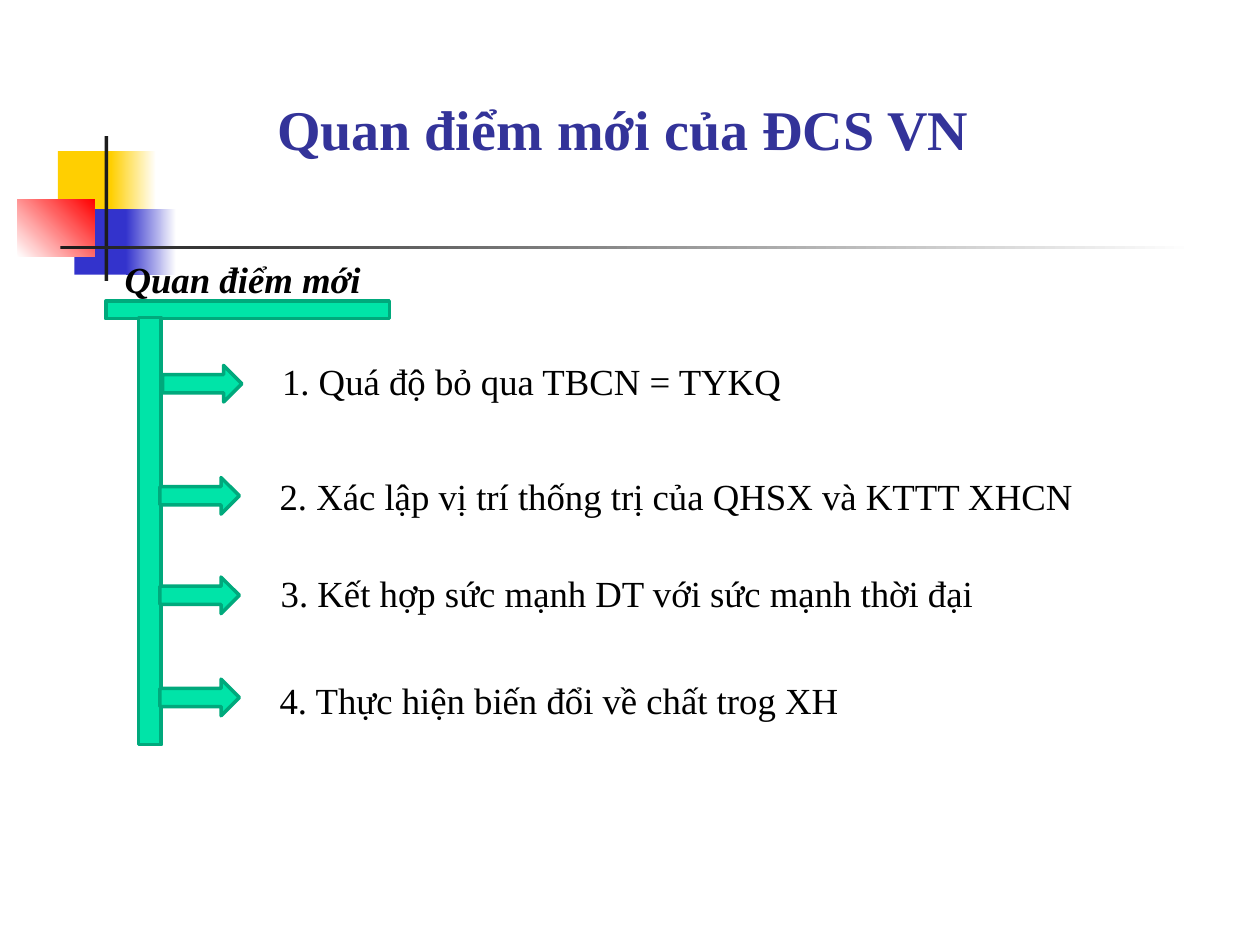
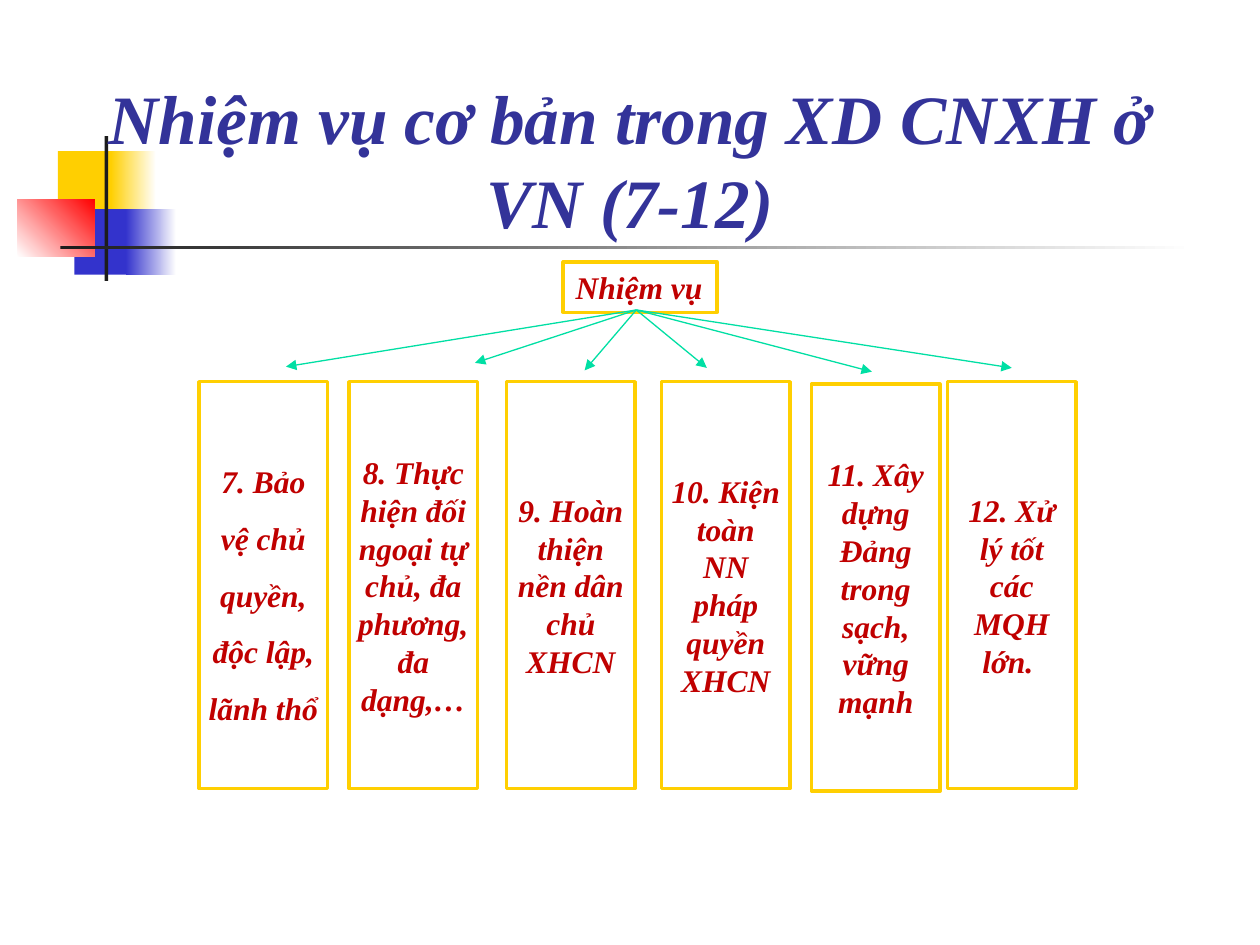
"""Build two slides on the new viewpoints and the basic tasks 7 to 12."""
from dataclasses import dataclass
from typing import Any, NamedTuple, Optional

import lxml.etree
import pptx
import pptx.dml.color
import pptx.enum.shapes
import pptx.enum.text
import pptx.oxml.ns
import pptx.util

EMU_PER_PX = 9144
RECTANGLE = pptx.enum.shapes.MSO_SHAPE.RECTANGLE
RIGHT_ARROW = pptx.enum.shapes.MSO_SHAPE.RIGHT_ARROW
LEFT = pptx.enum.text.PP_ALIGN.LEFT
CENTER = pptx.enum.text.PP_ALIGN.CENTER
TOP = pptx.enum.text.MSO_ANCHOR.TOP
MIDDLE = pptx.enum.text.MSO_ANCHOR.MIDDLE
BOTTOM = pptx.enum.text.MSO_ANCHOR.BOTTOM


@dataclass(frozen=True)
class Theme:
    font: str = "Times New Roman"
    white: str = "FFFFFF"
    black: str = "000000"
    yellow: str = "FFCF01"
    blue: str = "3333CC"
    red: str = "FF0000"
    rule: str = "1C1C1C"
    title: str = "333399"
    green: str = "00E4A8"
    green_edge: str = "00A97C"
    branch: str = "00DFA4"
    task: str = "C00000"
    viewpoint_title_size: float = 32
    task_title_size: float = 39.6
    viewpoint_size: float = 21
    task_size: float = 18
    edge_width: float = 2
    branch_width: float = 0.75


THEME = Theme()


class Box(NamedTuple):
    left: int
    top: int
    width: int
    height: int


class Band(NamedTuple):
    box: Box
    start: str
    end: Optional[str] = None
    angle: int = 0


class Viewpoint(NamedTuple):
    text: str
    text_box: Box
    arrow_left: int
    arrow_top: int


class Task(NamedTuple):
    text: str
    left: int
    branch_end: tuple[int, int]
    top: int = 303
    line_spacing: Optional[float] = None


BANDS = [
    Band(Box(46, 120, 48, 52), THEME.yellow),
    Band(Box(88, 120, 36, 52), THEME.yellow, THEME.white),
    Band(Box(59, 166, 46, 52), THEME.blue),
    Band(Box(100, 166, 40, 52), THEME.blue, THEME.white),
    Band(Box(14, 158, 61, 46), THEME.white, THEME.red, 45),
    Band(Box(83, 108, 3, 115), THEME.rule),
    Band(Box(48, 195, 900, 3), THEME.rule, THEME.white),
]

VIEWPOINTS = [
    Viewpoint("1. Quá độ bỏ qua TBCN = TYKQ", Box(214, 280, 420, 45), 129, 290),
    Viewpoint("2. Xác lập vị trí thống trị của QHSX và KTTT XHCN",
              Box(212, 371, 671, 45), 127, 379),
    Viewpoint("3. Kết hợp sức mạnh DT với sức mạnh thời đại",
              Box(213, 448, 576, 45), 127, 458),
    Viewpoint("4. Thực hiện biến đổi về chất trog XH",
              Box(212, 533, 469, 45), 127, 539),
]

TASKS = [
    Task("7. Bảo vệ chủ quyền, độc lập, lãnh thổ", 158, (227, 291), line_spacing=1.5),
    Task("8. Thực hiện đối ngoại tự chủ, đa phương, đa dạng,…", 277, (377, 288)),
    Task("9. Hoàn thiện nền dân chủ XHCN", 402, (464, 294)),
    Task("10. Kiện toàn NN pháp quyền XHCN", 525, (561, 292)),
    Task("11. Xây dựng Đảng trong sạch, vững mạnh", 644, (692, 295), top=305),
    Task("12. Xử lý tốt các MQH lớn. ", 752, (803, 292)),
]
BRANCH_START = (505, 246)


def px(length: int) -> pptx.util.Emu:
    return pptx.util.Emu(length * EMU_PER_PX)


def rgb(colour: str) -> pptx.dml.color.RGBColor:
    return pptx.dml.color.RGBColor.from_string(colour)


def write(shape: Any, text: str, *, size: float, colour: str = THEME.black,
          bold: bool = False, italic: bool = False, align: Any = LEFT,
          anchor: Any = TOP, wrap: bool = True, line_spacing: Optional[float] = None,
          margins: tuple[int, int] = (10, 5)) -> None:
    frame = shape.text_frame
    frame.word_wrap = wrap
    frame.auto_size = (pptx.enum.text.MSO_AUTO_SIZE.NONE if wrap
                       else pptx.enum.text.MSO_AUTO_SIZE.SHAPE_TO_FIT_TEXT)
    frame.vertical_anchor = anchor
    frame.margin_left = frame.margin_right = px(margins[0])
    frame.margin_top = frame.margin_bottom = px(margins[1])
    paragraph = frame.paragraphs[0]
    paragraph.alignment = align
    if line_spacing:
        paragraph.line_spacing = line_spacing
    run = paragraph.add_run()
    run.text = text
    run.font.name = THEME.font
    run.font.size = pptx.util.Pt(size)
    run.font.bold = bold
    run.font.italic = italic
    run.font.color.rgb = rgb(colour)


def add_block(slide: Any, box: Box, fill: str, edge: Optional[str] = None,
              preset: Any = RECTANGLE) -> Any:
    block = slide.shapes.add_shape(preset, *map(px, box))
    block.shadow.inherit = False
    block.fill.solid()
    block.fill.fore_color.rgb = rgb(fill)
    if edge:
        block.line.color.rgb = rgb(edge)
        block.line.width = pptx.util.Pt(THEME.edge_width)
    else:
        block.line.fill.background()
    return block


def add_label(slide: Any, box: Box, text: str, **text_format: Any) -> None:
    write(slide.shapes.add_textbox(*map(px, box)), text, **text_format)


def add_band(slide: Any, band: Band) -> None:
    block = add_block(slide, band.box, band.start)
    if band.end:
        block.fill.gradient()
        block.fill.gradient_angle = band.angle
        stops = block.fill.gradient_stops
        for stop, position, colour in zip(stops, (0, 1), (band.start, band.end)):
            stop.position = position
            stop.color.rgb = rgb(colour)


def add_branch(slide: Any, end: tuple[int, int]) -> None:
    branch = slide.shapes.add_connector(
        pptx.enum.shapes.MSO_CONNECTOR.STRAIGHT, *map(px, BRANCH_START + end))
    branch.line.color.rgb = rgb(THEME.branch)
    branch.line.width = pptx.util.Pt(THEME.branch_width)
    line = branch.line._get_or_add_ln()
    lxml.etree.SubElement(line, pptx.oxml.ns.qn("a:tailEnd"), type="triangle")
    lxml.etree.SubElement(branch._element.spPr, pptx.oxml.ns.qn("a:effectLst"))


def add_titled_slide(deck: Any, title: str, box: Box, size: float,
                     italic: bool = False) -> Any:
    slide = deck.slides.add_slide(deck.slide_layouts[6])
    for band in BANDS:
        add_band(slide, band)
    add_label(slide, box, title, size=size, colour=THEME.title, bold=True,
              italic=italic, align=CENTER, anchor=BOTTOM)
    return slide


def build_viewpoints(deck: Any) -> None:
    slide = add_titled_slide(deck, "Quan điểm mới của ĐCS VN ",
                             Box(69, 50, 862, 83), THEME.viewpoint_title_size)
    add_block(slide, Box(84, 239, 225, 14), THEME.green, THEME.green_edge)
    add_label(slide, Box(89, 199, 217, 45), "Quan điểm mới",
              size=THEME.viewpoint_size, bold=True, italic=True, wrap=False)
    add_block(slide, Box(110, 252, 18, 339), THEME.green, THEME.green_edge)
    for viewpoint in VIEWPOINTS:
        add_block(slide, Box(viewpoint.arrow_left, viewpoint.arrow_top, 63, 29),
                  THEME.green, THEME.green_edge, RIGHT_ARROW)
        add_label(slide, viewpoint.text_box, viewpoint.text,
                  size=THEME.viewpoint_size, wrap=False)


def build_tasks(deck: Any) -> None:
    slide = add_titled_slide(deck, "Nhiệm vụ cơ bản trong XD CNXH ở VN (7-12)",
                             Box(69, 124, 862, 73), THEME.task_title_size, italic=True)
    task_format = dict(size=THEME.task_size, colour=THEME.task, bold=True, italic=True)
    root = add_block(slide, Box(447, 208, 122, 40), THEME.white, THEME.yellow)
    write(root, "Nhiệm vụ", wrap=False, **task_format)
    for task in TASKS:
        card = add_block(slide, Box(task.left, task.top, 102, 323),
                         THEME.white, THEME.yellow)
        write(card, task.text, align=CENTER, anchor=MIDDLE, margins=(7, 4),
              line_spacing=task.line_spacing, **task_format)
        add_branch(slide, task.branch_end)


def main() -> None:
    deck = pptx.Presentation()
    deck.slide_width, deck.slide_height = px(1000), px(750)
    build_viewpoints(deck)
    build_tasks(deck)
    deck.save("out.pptx")


if __name__ == "__main__":
    main()
